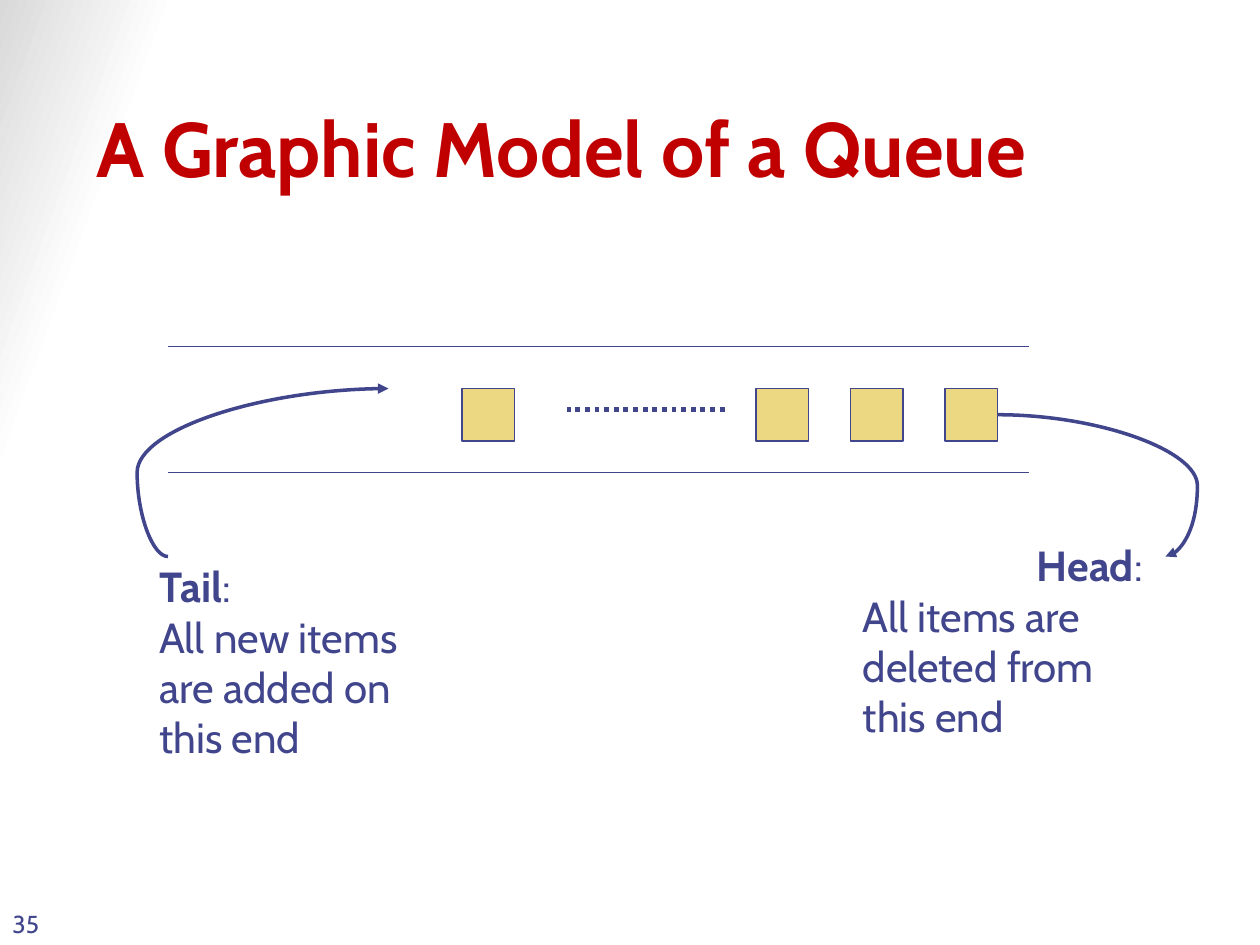
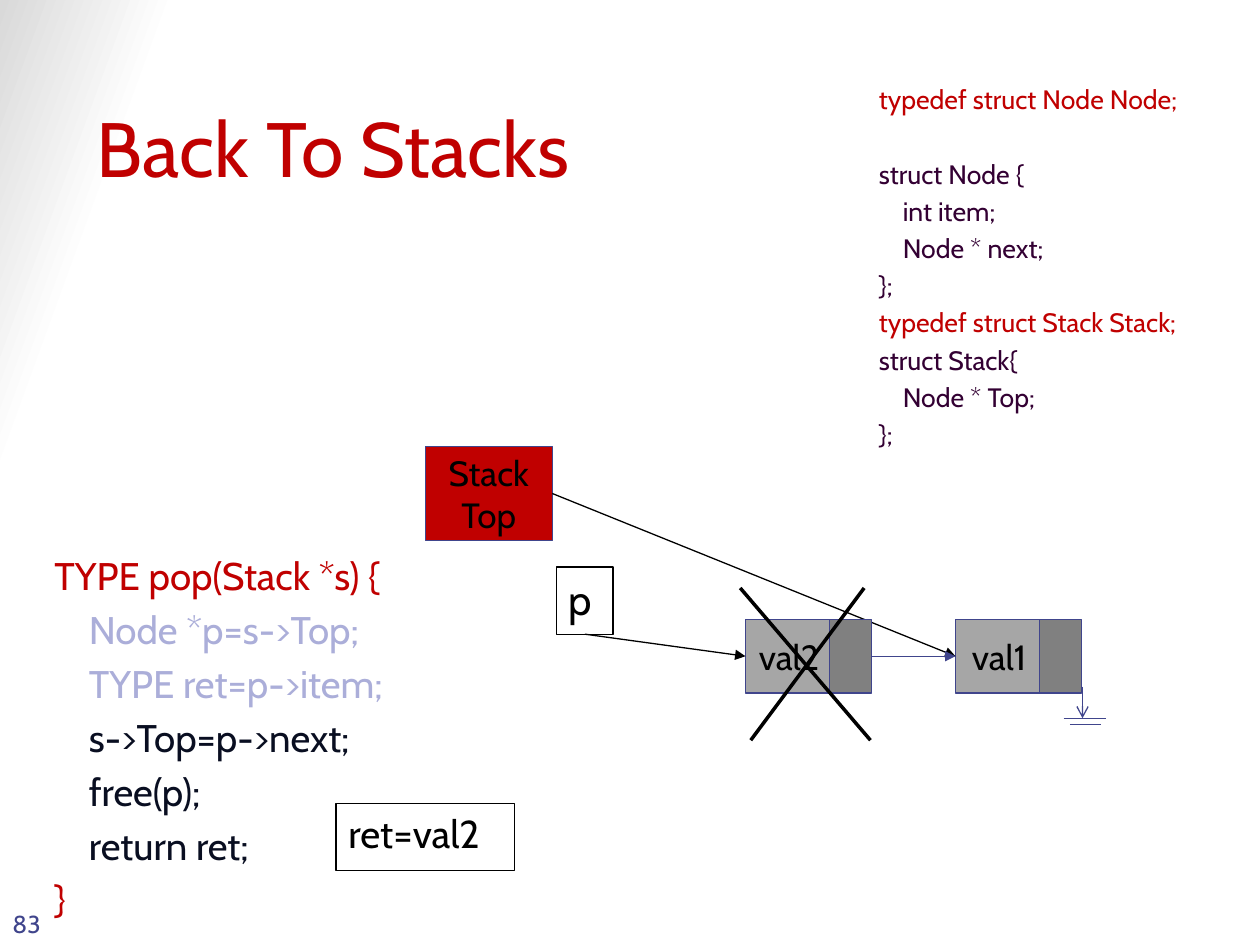
import lxml.etree
import pptx
import pptx.dml.color
import pptx.enum.dml
import pptx.enum.shapes
import pptx.enum.text
import pptx.oxml.ns
import pptx.util

COLUMNS, ROWS = 120, 90
FONT = "Cabin"
RED, INDIGO, BLACK = "C00000", "40458C", "000000"
PALE, NAVY, PLUM = "ABAED9", "090E21", "330033"
SAND, SILVER, GRAY = "ECD882", "A6A6A6", "808080"
TOP, LEFT, BOTTOM, RIGHT = range(4)

ALIGN = pptx.enum.text.PP_ALIGN
ANCHOR = pptx.enum.text.MSO_ANCHOR
CONNECTOR = pptx.enum.shapes.MSO_CONNECTOR


def colour(code):
    return pptx.dml.color.RGBColor.from_string(code)


def apply(target, formats):
    for name, value in formats.items():
        setattr(target, name, value)


def child(parent, tag, **attributes):
    return lxml.etree.SubElement(parent, pptx.oxml.ns.qn(tag), attributes)


class SlideBuilder:
    def __init__(self, deck):
        self.deck = deck
        self.page = None
        fill = deck.slide_master.background.fill
        fill.gradient()
        fill.gradient_angle = 160
        for stop, (position, code) in zip(fill.gradient_stops, [(0.89, "FFFFFF"), (1, "D9D9D9")]):
            stop.position = position
            stop.color.rgb = colour(code)

    def x(self, columns):
        return round(self.deck.slide_width * columns / COLUMNS)

    def y(self, rows):
        return round(self.deck.slide_height * rows / ROWS)

    def frame(self, column, row, width, height):
        return self.x(column), self.y(row), self.x(width), self.y(height)

    def new_page(self, layout, title, number, bold):
        self.page = self.deck.slides.add_slide(self.deck.slide_layouts[layout])
        heading = self.placeholder(0, (8, 4, 102, 15), ANCHOR.BOTTOM)
        self.set_text(heading, [[(title, RED)]], 44, bold=bold)
        self.text((0, 84, 7, 6), [[(number, INDIGO)]], 14, ANCHOR.BOTTOM)

    def placeholder(self, index, place, anchor=ANCHOR.TOP):
        box = self.page.placeholders[index]
        apply(box, dict(zip(("left", "top", "width", "height"), self.frame(*place))))
        apply(box.text_frame, {"vertical_anchor": anchor, "auto_size": pptx.enum.text.MSO_AUTO_SIZE.NONE})
        return box

    def set_text(self, box, paragraphs, size, align=ALIGN.LEFT, before=0, bold=False):
        for index, spans in enumerate(paragraphs):
            para = box.text_frame.paragraphs[0] if index == 0 else box.text_frame.add_paragraph()
            properties = para._p.get_or_add_pPr()
            for name in ("marL", "indent"):
                properties.set(name, "0")
            child(properties, "a:buNone")
            apply(para, {"alignment": align, "space_before": pptx.util.Pt(before if index else 0)})
            for words, code, *weight in spans:
                span = para.add_run()
                span.text = words
                apply(span.font, {"name": FONT, "size": pptx.util.Pt(size), "bold": weight[0] if weight else bold})
                span.font.color.rgb = colour(code)

    def text(self, place, paragraphs, size, anchor=ANCHOR.TOP, before=0):
        box = self.page.shapes.add_textbox(*self.frame(*place))
        apply(box.text_frame, {"word_wrap": True, "vertical_anchor": anchor})
        self.set_text(box, paragraphs, size, before=before)
        return box

    def rectangle(self, place, fill=None, line=INDIGO, words=(), size=20,
                  align=ALIGN.CENTER, anchor=ANCHOR.MIDDLE, wrap=False):
        box = self.page.shapes.add_shape(pptx.enum.shapes.MSO_SHAPE.RECTANGLE, *self.frame(*place))
        box.shadow.inherit = False
        if fill:
            box.fill.solid()
            box.fill.fore_color.rgb = colour(fill)
        else:
            box.fill.background()
        box.line.color.rgb = colour(line)
        box.line.width = pptx.util.Pt(0.75)
        apply(box.text_frame, {"word_wrap": wrap, "vertical_anchor": anchor})
        self.set_text(box, [[(word, BLACK)] for word in words], size, align)
        return box

    def node(self, column, label):
        value = self.rectangle((column, 59, 8.3, 7), SILVER, words=[label])
        pointer = self.rectangle((column + 8, 59, 4, 7), GRAY)
        return value, pointer

    def line(self, begin, end, code=INDIGO, width=0.75, dash=None, head=None, tail=None, bend=None):
        kind = CONNECTOR.CURVE if bend else CONNECTOR.STRAIGHT
        link = self.page.shapes.add_connector(
            kind, self.x(begin[0]), self.y(begin[1]), self.x(end[0]), self.y(end[1]))
        link.line.color.rgb = colour(code)
        apply(link.line, {"width": pptx.util.Pt(width), "dash_style": dash})
        outline = link.line._get_or_add_ln()
        for tag, arrow in (("a:headEnd", head), ("a:tailEnd", tail)):
            if arrow:
                child(outline, tag, type=arrow)
        properties = link._element.spPr
        child(properties, "a:effectLst")
        if bend:
            guides = properties.find(".//" + pptx.oxml.ns.qn("a:avLst"))
            child(guides, "a:gd", name="adj1", fmla=f"val {round(bend * 100000)}")
        return link

    def join(self, source, source_side, target, target_side, code=BLACK):
        link = self.line((0, 0), (1, 1), code, tail="triangle")
        link.begin_connect(source, source_side)
        link.end_connect(target, target_side)


def build_queue(builder):
    builder.new_page(5, "A Graphic Model of a Queue", "35", bold=True)
    for row in (33, 45):
        builder.line((16, row), (98, row))
    for column in (90, 81, 72, 44):
        builder.rectangle((column, 37, 5, 5), SAND)
    builder.line((69, 39), (54, 39), width=2.75, dash=pptx.enum.dml.MSO_LINE.ROUND_DOT)

    builder.line((37, 37), (16, 53), width=2, head="triangle", bend=1.14)
    builder.line((95, 39.5), (111, 53), width=2, tail="triangle", bend=1.19)
    labels = [
        ((14, 53, 29, 20), "Tail", ["All new items", "are added on", "this end"], ALIGN.LEFT),
        ((81, 51, 29, 20), "Head", ["All items are", "deleted from", "this end"], ALIGN.RIGHT),
    ]
    for place, name, lines, align in labels:
        paragraphs = [[(name, INDIGO, True), (":", INDIGO)]] + [[(words, INDIGO)] for words in lines]
        box = builder.text(place, paragraphs, 24, ANCHOR.MIDDLE)
        box.text_frame.paragraphs[0].alignment = align


def build_stack(builder):
    builder.new_page(1, "Back To Stacks", "83", bold=False)
    pop_code = [
        ("TYPE pop(Stack *s) {", RED),
        ("    Node *p=s->Top;", PALE),
        ("    TYPE ret=p->item;", PALE),
        ("    s->Top=p->next;", NAVY),
        ("    free(p);", NAVY),
        ("    return ret;", NAVY),
        ("}", RED),
    ]
    builder.text((4, 52, 63, 37), [[line] for line in pop_code], 22, before=4.4)

    first_value, first_pointer = builder.node(91, "val1")
    builder.line((101.3, 68.4), (105.3, 68.4))
    builder.line((101.9, 69), (104.9, 69))
    builder.line((103.1, 65.4), (103.1, 68.4), tail="arrow")
    stack_top = builder.rectangle((40.5, 42.5, 12.1, 9), RED, words=["Stack", "Top"])
    builder.join(stack_top, RIGHT, first_value, LEFT)
    popped_value, popped_pointer = builder.node(71, "val2")
    builder.join(popped_pointer, RIGHT, first_value, LEFT, INDIGO)

    variable = {"line": BLACK, "align": ALIGN.LEFT, "anchor": ANCHOR.TOP, "wrap": True}
    p_box = builder.rectangle((53, 54, 5.4, 6.4), words=["p"], size=24, **variable)
    builder.join(p_box, BOTTOM, popped_value, LEFT)
    builder.rectangle((32, 76.5, 17, 6.4), words=["ret=val2"], size=22.2, **variable)
    for start, finish in ((70.5, 82.9), (82.3, 71.5)):
        builder.line((start, 56), (finish, 70.5), BLACK, width=2)

    struct_code = [
        ("typedef struct Node Node;", RED),
        ("struct Node {", PLUM),
        ("    int item;", PLUM),
        ("    Node * next;", PLUM),
        ("};", PLUM),
        ("typedef struct Stack Stack;", RED),
        ("struct Stack{", PLUM),
        ("    Node * Top;", PLUM),
        ("};", PLUM),
    ]
    body = builder.placeholder(1, (82.5, 7.3, 34.3, 31))
    builder.set_text(body, [[line] for line in struct_code], 15.2, before=3)
    body.text_frame.paragraphs[1].space_before = pptx.util.Pt(24.5)


def main():
    deck = pptx.Presentation()
    deck.slide_width = pptx.util.Inches(10)
    deck.slide_height = pptx.util.Inches(7.5)
    builder = SlideBuilder(deck)
    build_queue(builder)
    build_stack(builder)
    deck.save("out.pptx")


if __name__ == "__main__":
    main()
